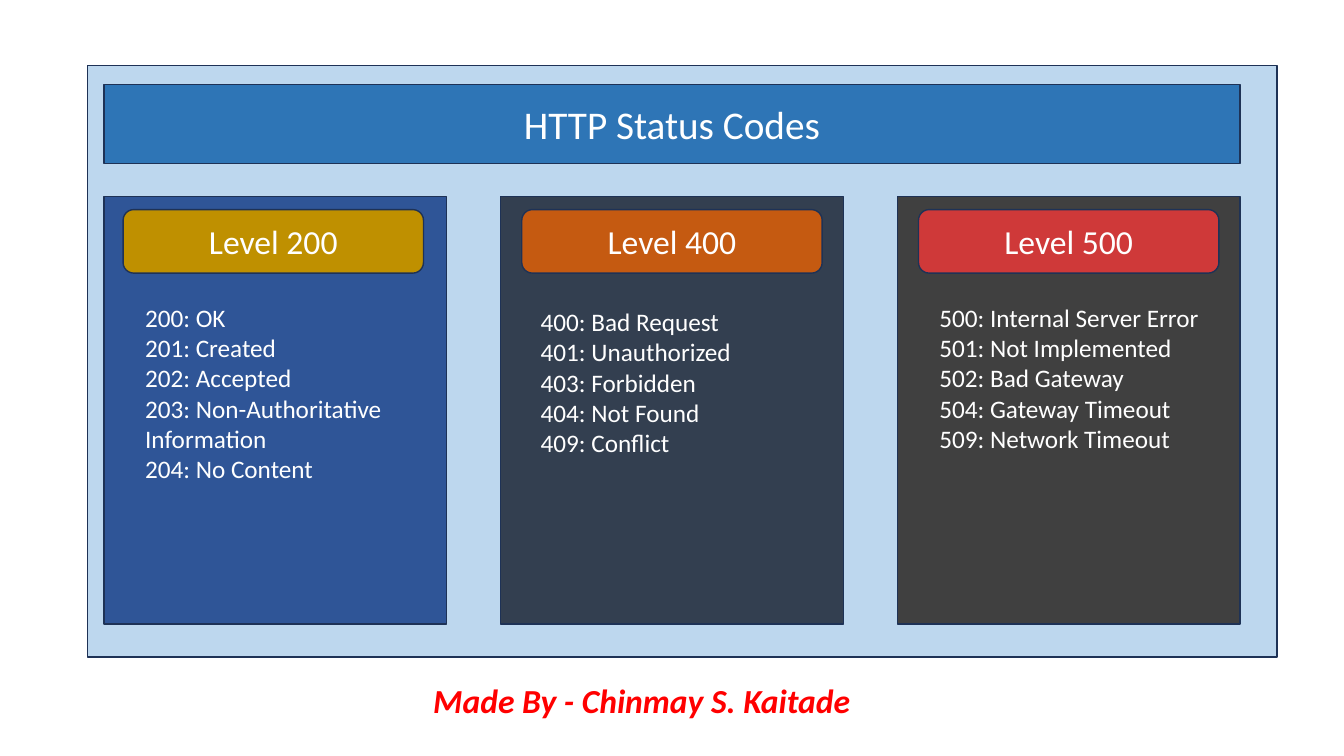
from dataclasses import dataclass

from lxml import etree
from pptx import Presentation
from pptx.dml.color import RGBColor
from pptx.enum.shapes import MSO_SHAPE
from pptx.enum.text import MSO_ANCHOR, MSO_AUTO_SIZE, PP_ALIGN
from pptx.oxml.ns import qn
from pptx.shapes.autoshape import Shape
from pptx.slide import Slide
from pptx.util import Inches, Pt

RECT = MSO_SHAPE.RECTANGLE
ROUND = MSO_SHAPE.ROUNDED_RECTANGLE
MIDDLE = MSO_ANCHOR.MIDDLE
TOP = MSO_ANCHOR.TOP
CENTER = PP_ALIGN.CENTER
LEFT = PP_ALIGN.LEFT
GROW = MSO_AUTO_SIZE.SHAPE_TO_FIT_TEXT
FIXED = MSO_AUTO_SIZE.NONE

WIDE = Inches(13.33)
HIGH = Inches(7.5)


@dataclass(frozen=True)
class Theme:
    font: str = "Calibri"
    white: str = "FFFFFF"
    red: str = "FF0000"
    edge: str = "1E3256"
    panel: str = "BDD7EE"
    banner: str = "2E75B6"
    title: int = 28
    head: int = 24
    body: int = 18


@dataclass(frozen=True)
class Box:
    """Percent shares of the slide's width and height."""
    x: float
    y: float
    w: float
    h: float

    def place(self) -> tuple[int, int, int, int]:
        return (int(WIDE * self.x / 100), int(HIGH * self.y / 100),
                int(WIDE * self.w / 100), int(HIGH * self.h / 100))


@dataclass(frozen=True)
class Level:
    name: str
    card: str
    badge: str
    inset: float
    indent: float
    top: float
    high: float
    codes: tuple[str, ...]


THEME = Theme()
PANEL = Box(6.53, 8.67, 88.5, 78.27)
BANNER = Box(7.73, 11.2, 84.53, 10.4)
CARD = Box(7.73, 26, 25.5, 56.53)
STEP = (BANNER.w - CARD.w) / 2
CREDIT = Box(31.5, 89.33, 42.23, 6.67)

LEVELS = (
    Level("Level 200", "2F5597", "BF9000", 1.43, 2.33, 39.33, 25.6,
          ("200: OK", "201: Created", "202: Accepted",
           "203: Non-Authoritative Information", "204: No Content")),
    Level("Level 400", "333F50", "C55A11", 1.58, 2.25, 39.87, 21.6,
          ("400: Bad Request", "401: Unauthorized", "403: Forbidden",
           "404: Not Found", "409: Conflict")),
    Level("Level 500", "404040", "CF3939", 1.58, 2.4, 39.33, 21.6,
          ("500: Internal Server Error", "501: Not Implemented",
           "502: Bad Gateway", "504: Gateway Timeout",
           "509: Network Timeout")),
)


def paint(shape: Shape, fill: str) -> None:
    shape.shadow.inherit = False
    shape.fill.solid()
    shape.fill.fore_color.rgb = RGBColor.from_string(fill)
    shape.line.color.rgb = RGBColor.from_string(THEME.edge)
    shape.line.width = Pt(1)


def write(shape: Shape, lines: tuple[str, ...], size: int,
          color: str = THEME.white, align: PP_ALIGN = LEFT,
          strong: bool = False) -> None:
    frame = shape.text_frame
    frame.word_wrap = True
    frame.auto_size = FIXED if align == CENTER else GROW
    frame.vertical_anchor = MIDDLE if align == CENTER else TOP
    for i, line in enumerate(lines):
        para = frame.add_paragraph() if i else frame.paragraphs[0]
        para.alignment = align
        para.line_spacing = 1.0
        run = para.add_run()
        run.text = line
        font = run.font
        font.name = THEME.font
        font.size = Pt(size)
        font.bold = strong
        font.italic = strong
        font.color.rgb = RGBColor.from_string(color)


def block(slide: Slide, kind: MSO_SHAPE, box: Box, fill: str) -> Shape:
    shape = slide.shapes.add_shape(kind, *box.place())
    paint(shape, fill)
    return shape


def label(slide: Slide, box: Box) -> Shape:
    return slide.shapes.add_textbox(*box.place())


def banner(slide: Slide, text: str) -> None:
    shape = slide.shapes.title
    shape.left, shape.top, shape.width, shape.height = BANNER.place()
    form = etree.SubElement(shape.element.spPr, qn("a:prstGeom"), prst="roundRect")
    etree.SubElement(form, qn("a:avLst"))
    paint(shape, THEME.banner)
    write(shape, (text,), THEME.title, align=CENTER)
    slide.shapes.element.append(shape.element)


def column(slide: Slide, level: Level, x: float) -> None:
    block(slide, RECT, Box(x, CARD.y, CARD.w, CARD.h), level.card)
    badge = block(slide, ROUND, Box(x + level.inset, 27.73, 22.35, 8.4), level.badge)
    write(badge, (level.name,), THEME.head, align=CENTER)
    codes = label(slide, Box(x + level.indent, level.top, 20.93, level.high))
    write(codes, level.codes, THEME.body)


def main() -> None:
    deck = Presentation()
    deck.slide_width, deck.slide_height = WIDE, HIGH
    slide = deck.slides.add_slide(deck.slide_layouts[5])
    block(slide, RECT, PANEL, THEME.panel)
    banner(slide, "HTTP Status Codes")
    for i, level in enumerate(LEVELS):
        column(slide, level, CARD.x + i * STEP)
    write(label(slide, CREDIT), ("Made By - Chinmay S. Kaitade",),
          THEME.head, THEME.red, strong=True)
    deck.save("out.pptx")


if __name__ == "__main__":
    main()
